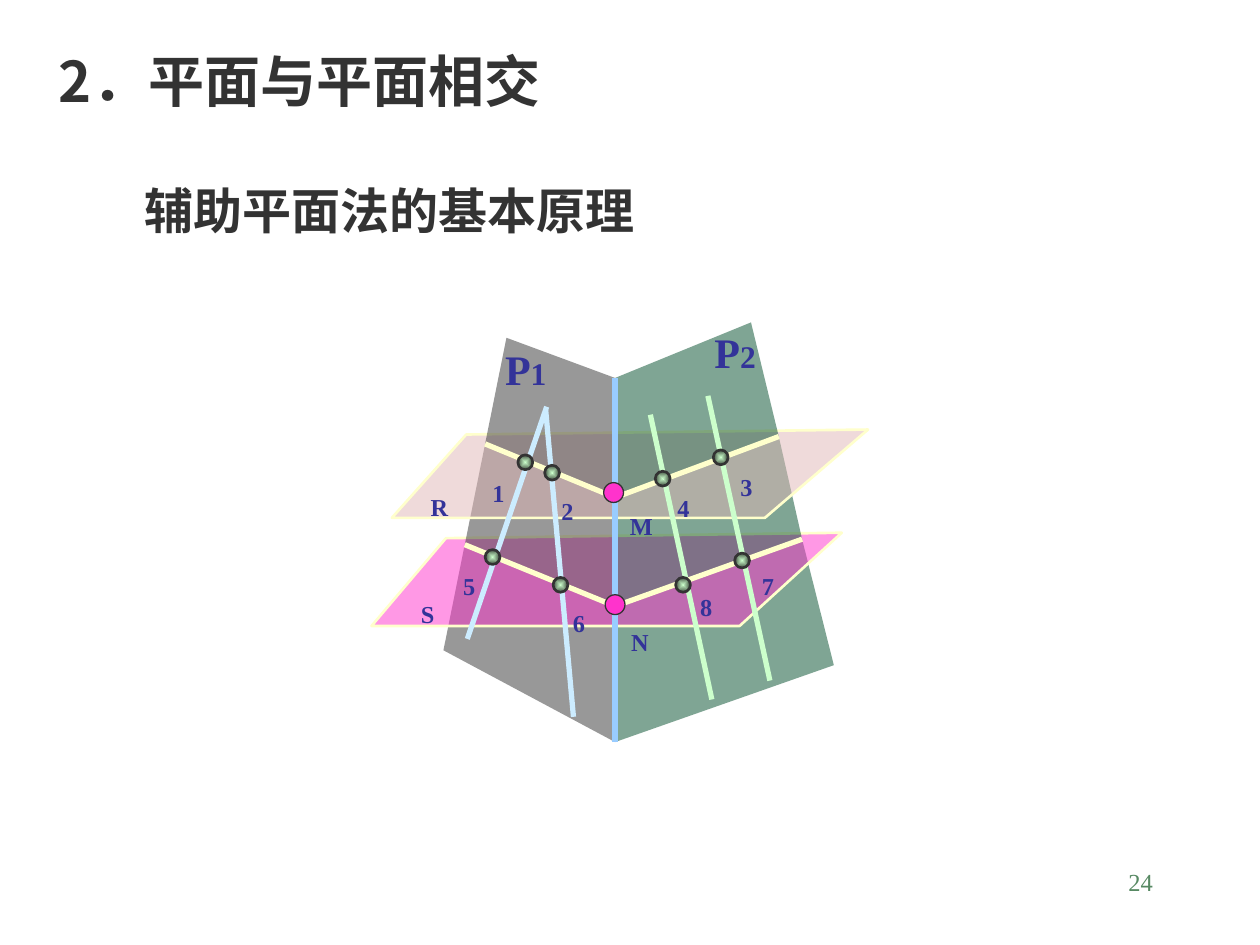
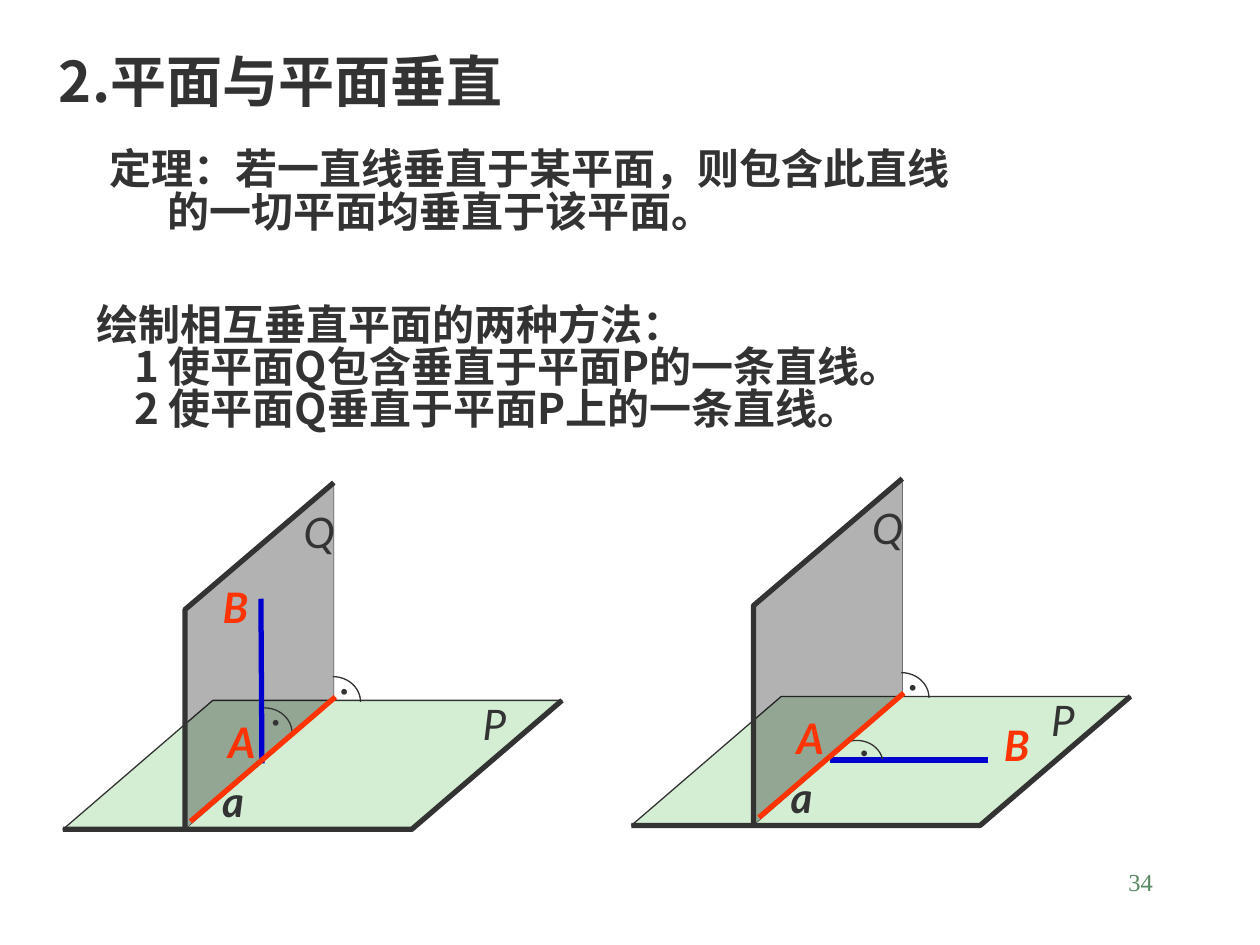
"""Build two geometry slides on intersecting and perpendicular planes."""
from itertools import pairwise
from math import cos, radians, sin

from lxml import etree
from pptx import Presentation
from pptx.dml.color import RGBColor
from pptx.enum.shapes import MSO_CONNECTOR, MSO_SHAPE
from pptx.enum.text import MSO_ANCHOR, MSO_AUTO_SIZE, PP_ALIGN
from pptx.oxml.ns import qn
from pptx.util import Cm, Pt

STRAIGHT = MSO_CONNECTOR.STRAIGHT
ELLIPSE, ARC = MSO_SHAPE.OVAL, MSO_SHAPE.ARC
LEFT, CENTER, RIGHT = PP_ALIGN.LEFT, PP_ALIGN.CENTER, PP_ALIGN.RIGHT
TOP, MIDDLE = MSO_ANCHOR.TOP, MSO_ANCHOR.MIDDLE
GROW = MSO_AUTO_SIZE.SHAPE_TO_FIT_TEXT

COLORS = {
    "ink": "333333", "page": "578963", "label": "333399", "red": "FF3300",
    "blue": "0000CC", "black": "000000", "pine": "004C2B", "magenta": "FF33CC",
    "rose": "E1B7B7", "cream": "FFFFCC", "sky": "99CCFF", "ice": "CCECFF",
    "mint": "CCFFCC", "moss": "3E4D3E", "grass": "B3E1B3",
}
CJK, SERIF, SANS = "Noto Sans CJK SC", "Times New Roman", "Lato"
FONTS = {
    "title": {"name": CJK, "size": Pt(32), "bold": True},
    "subtitle": {"name": CJK, "size": Pt(28), "bold": True},
    "body": {"name": CJK, "size": Pt(24), "bold": True},
    "page": {"name": SERIF, "size": Pt(14)},
    "plane": {"name": SERIF, "size": Pt(24), "bold": True},
    "index": {"name": SERIF, "size": Pt(18), "bold": True},
    "dot": {"name": SERIF, "size": Pt(28)},
    "surface": {"name": SANS, "size": Pt(24), "italic": True},
    "line": {"name": SANS, "size": Pt(24), "italic": True, "bold": True},
}


class Board:
    """Holds the deck style and the current slide."""

    def __init__(self):
        self.deck = Presentation()
        self.deck.slide_width, self.deck.slide_height = Cm(25.4), Cm(19.05)
        self.shapes = None

    def new_slide(self, title, page):
        self.shapes = self.deck.slides.add_slide(self.deck.slide_layouts[6]).shapes
        self.text([title], "title", (0.94, 0.81, 24.46, 1.6), anchor=MIDDLE)
        self.text([page], "page", (18.21, 17.35, 5.28, 1.27), "page", align=RIGHT)

    def style_run(self, run, font, color):
        for key, value in FONTS[font].items():
            setattr(run.font, key, value)
        run.font.color.rgb = RGBColor.from_string(COLORS[color])
        if FONTS[font]["name"] == CJK:
            etree.SubElement(run._r.get_or_add_rPr(), qn("a:ea"), typeface=CJK)

    def text(self, lines, font, box, color="ink", align=LEFT, anchor=TOP,
             indent=0, spacing=None, wrap=True):
        shape = self.shapes.add_textbox(*map(Cm, box))
        frame = shape.text_frame
        settings = {"word_wrap": wrap, "vertical_anchor": anchor, "auto_size": GROW}
        for key, value in settings.items():
            setattr(frame, key, value)
        for number, line in enumerate(lines):
            paragraph = frame.add_paragraph() if number else frame.paragraphs[0]
            paragraph.alignment = align
            if spacing:
                paragraph.line_spacing = spacing
            if number and indent:
                paragraph._p.get_or_add_pPr().set("marL", str(Cm(indent)))
            run = paragraph.add_run()
            run.text = line
            self.style_run(run, font, color)
        return shape

    def label(self, text, center, font, color="ink", width=0.96, height=1.27):
        x, y = center
        box = (x - width / 2, y - height / 2, width, height)
        return self.text([text], font, box, color, CENTER, MIDDLE, wrap=False)

    def low_label(self, text, center, width=0.94):
        run = self.label(text, center, "plane", "label", width).text_frame.paragraphs[0].runs[0]
        run._r.get_or_add_rPr().set("baseline", "-25000")

    def indexed_label(self, text, index, center):
        shape = self.label(text, center, "plane", "label", 1.35)
        run = shape.text_frame.paragraphs[0].add_run()
        run.text = index
        self.style_run(run, "index", "label")

    def paint(self, shape, fill=None, opacity=100, line=None, weight=0.75):
        shape.shadow.inherit = False
        if fill:
            shape.fill.solid()
            shape.fill.fore_color.rgb = RGBColor.from_string(COLORS[fill])
            tint = shape.fill._xPr.find(qn("a:solidFill"))[0]
            etree.SubElement(tint, qn("a:alpha"), val=str(opacity * 1000))
        else:
            shape.fill.background()
        if line:
            shape.line.color.rgb = RGBColor.from_string(COLORS[line])
            shape.line.width = Pt(weight)
        else:
            shape.line.fill.background()

    def outline(self, points, closed=True, **look):
        corners = [(Cm(x), Cm(y)) for x, y in points]
        builder = self.shapes.build_freeform(*corners[0])
        builder.add_line_segments(corners[1:], close=closed)
        self.paint(builder.convert_to_shape(), **look)

    def line(self, start, end, color):
        connector = self.shapes.add_connector(STRAIGHT, *map(Cm, (*start, *end)))
        connector.line.color.rgb = RGBColor.from_string(COLORS[color])
        connector.line.width = Pt(3)
        etree.SubElement(connector._element.spPr, qn("a:effectLst"))

    def centered(self, kind, center, radius_x, radius_y, **look):
        x, y = center
        box = (x - radius_x, y - radius_y, 2 * radius_x, 2 * radius_y)
        shape = self.shapes.add_shape(kind, *map(Cm, box))
        self.paint(shape, **look)
        return shape

    def bead(self, center):
        fill = self.centered(ELLIPSE, center, 0.15, 0.15, line="ink", weight=1.5).fill
        fill.gradient()
        for stop, color, position in zip(fill.gradient_stops, ("mint", "moss"), (0, 1)):
            stop.color.rgb = RGBColor.from_string(COLORS[color])
            stop.position = position
        gradient = fill._xPr.find(qn("a:gradFill"))
        linear = gradient.find(qn("a:lin"))
        glow = etree.Element(qn("a:path"), path="shape")
        sides = dict.fromkeys("ltrb", "50000")
        etree.SubElement(glow, qn("a:fillToRect"), **sides)
        gradient.replace(linear, glow)

    def right_angle(self, vertex, rotation=0):
        self.centered(ARC, vertex, 0.56, 0.51, line="ink").rotation = rotation
        turn = radians(rotation)
        x, y = 0.23, -0.54
        center = (vertex[0] + x * cos(turn) - y * sin(turn),
                  vertex[1] + x * sin(turn) + y * cos(turn))
        self.label(".", center, "dot", width=0.76, height=1.45).rotation = rotation


def intersection(board):
    board.new_slide("2．平面与平面相交", "24")
    board.text(["辅助平面法的基本原理"], "subtitle", (2.67, 3.51, 10.44, 1.45), anchor=MIDDLE)

    levels = [
        ((10.21, 6.81), (12.4, 7.62), (15.14, 6.5)),
        ((9.78, 8.95), (12.4, 10.03), (15.7, 8.8)),
        ((9.37, 10.98), (12.4, 12.22), (16.17, 10.87)),
        ((8.94, 13.11), (12.4, 14.96), (16.81, 13.41)),
    ]
    plane_r = [(9.4, 8.76), (7.9, 10.44), (15.42, 10.44), (17.5, 8.66)]
    plane_s = [(8.99, 10.85), (7.49, 12.62), (14.91, 12.62), (16.97, 10.74)]
    cuts = [(plane_s, "magenta"), (plane_r, "rose"), (None, None)]
    for (upper, lower), (plane, tint) in zip(reversed(list(pairwise(levels))), cuts):
        for side, color in enumerate(("ink", "pine")):
            strip = [upper[side], upper[side + 1], lower[side + 1], lower[side]]
            board.outline(strip, fill=color, opacity=50)
        if plane:
            board.outline(plane, fill=tint, opacity=50, line="cream", weight=1.5)

    board.line(levels[0][1], levels[3][1], "sky")
    for start, end, color in [
        ((11.02, 8.2), (9.42, 12.88), "ice"), ((11, 8.26), (11.56, 14.45), "ice"),
        ((13.11, 8.36), (14.35, 14.1), "mint"), ((14.27, 7.98), (15.52, 13.72), "mint"),
    ]:
        board.line(start, end, color)
    for level in levels[1:3]:
        for start, end in pairwise(level):
            board.line(start, end, "cream")

    for crossing in [(12.4, 12.19), (12.37, 9.93)]:
        board.centered(ELLIPSE, crossing, 0.2, 0.2, fill="magenta", line="ink")
    board.indexed_label("P", "1", (10.6, 7.44))
    board.indexed_label("P", "2", (14.82, 7.09))
    for letter, center, width in [
        ("R", (8.86, 9.93), 1.12), ("S", (8.62, 12.09), 0.99),
        ("M", (12.93, 10.31), 1.32), ("N", (12.9, 12.65), 1.12),
    ]:
        board.low_label(letter, center, width)
    beads = [
        ((10.59, 9.32), (10.05, 9.65)), ((11.13, 9.53), (11.44, 10.01)),
        ((14.53, 9.22), (15.05, 9.53)), ((13.36, 9.65), (13.78, 9.96)),
        ((9.93, 11.23), (9.46, 11.53)), ((11.3, 11.79), (11.67, 12.27)),
        ((14.96, 11.3), (15.48, 11.53)), ((13.77, 11.79), (14.24, 11.94)),
    ]
    for number, (bead, caption) in enumerate(beads, 1):
        board.bead(bead)
        board.low_label(str(number), caption)


def perpendicular_planes(board, dx, dy, segment, b_center, vertex, rotation):
    def at(x, y):
        return x + dx, y + dy

    floor = [at(4.29, 14.12), at(11.33, 14.12), at(8.3, 16.72), at(1.27, 16.72)]
    wall = [at(3.73, 16.72), at(3.73, 12.29), at(6.73, 9.73), at(6.73, 14.12)]
    board.outline(floor, fill="grass", opacity=56, line="ink")
    board.outline(wall, fill="black", opacity=30, line="ink", weight=0.25)
    board.label("P", at(9.96, 14.58), "surface")
    board.label("Q", at(6.35, 10.72), "surface")
    board.label("A", at(4.83, 14.96), "line", "red")
    board.label("a", at(4.7, 16.15), "line")
    board.line(*segment, "blue")
    board.right_angle(at(6.71, 14.15))
    board.outline(floor[:0:-1], closed=False, line="ink", weight=3)
    board.outline(wall[:3], closed=False, line="ink", weight=3)
    board.right_angle(vertex, rotation)
    board.line(at(3.84, 16.56), at(6.76, 14.05), "red")
    board.label("B", b_center, "line", "red")


def perpendicularity(board):
    board.new_slide("2.平面与平面垂直", "34")
    theorem = ["定理：若一直线垂直于某平面，则包含此直线", "的一切平面均垂直于该平面。"]
    methods = ["绘制相互垂直平面的两种方法：", "1 使平面Q包含垂直于平面P的一条直线。",
               "2 使平面Q垂直于平面P上的一条直线。"]
    board.text(theorem, "body", (1.96, 2.92, 20.83, 2.29), indent=1.17, spacing=0.84)
    board.text(methods, "body", (1.7, 6.05, 20.83, 3.3), indent=0.76, spacing=0.84)
    perpendicular_planes(board, 11.46, -0.08, ((16.74, 15.32), (19.91, 15.32)),
                         (20.47, 15.01), (17.25, 15.44), 345.7)
    perpendicular_planes(board, 0, 0, ((5.28, 15.39), (5.26, 12.07)),
                         (4.72, 12.24), (5.33, 14.78), 0)


def main():
    board = Board()
    intersection(board)
    perpendicularity(board)
    board.deck.save("out.pptx")


if __name__ == "__main__":
    main()
